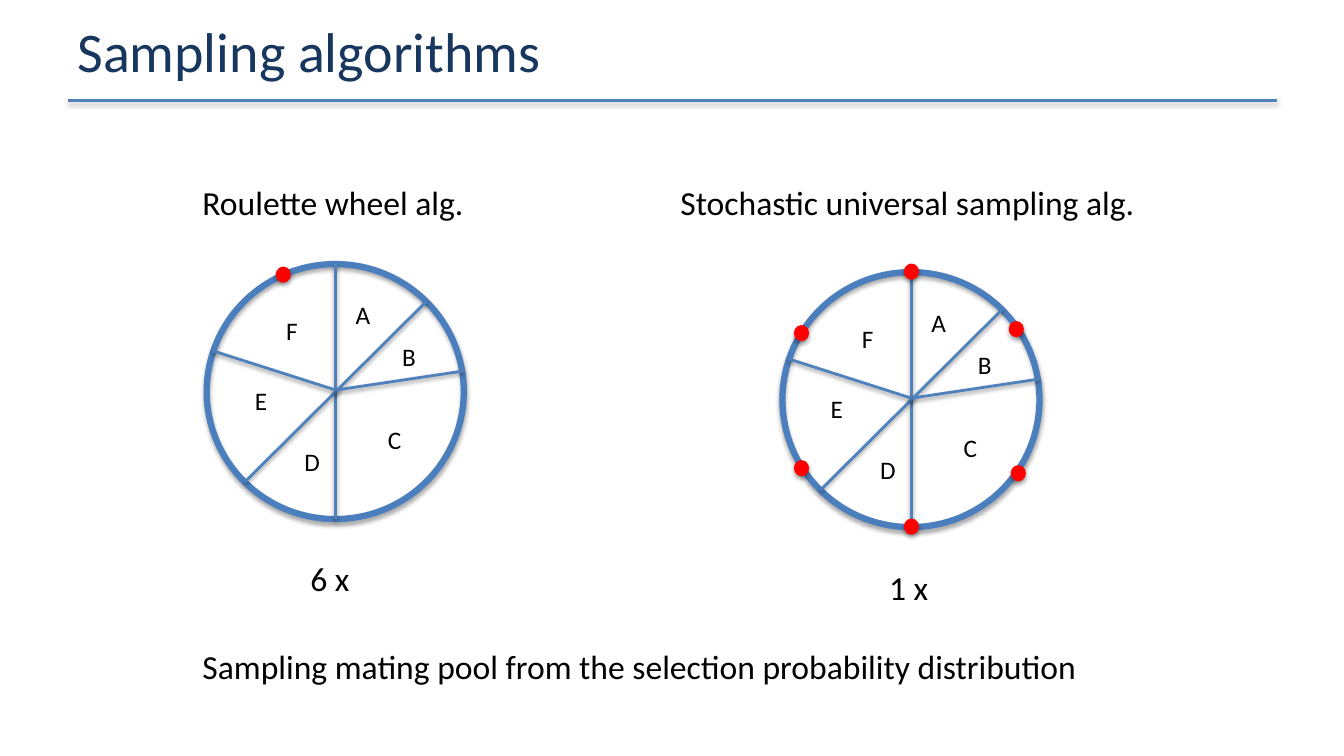
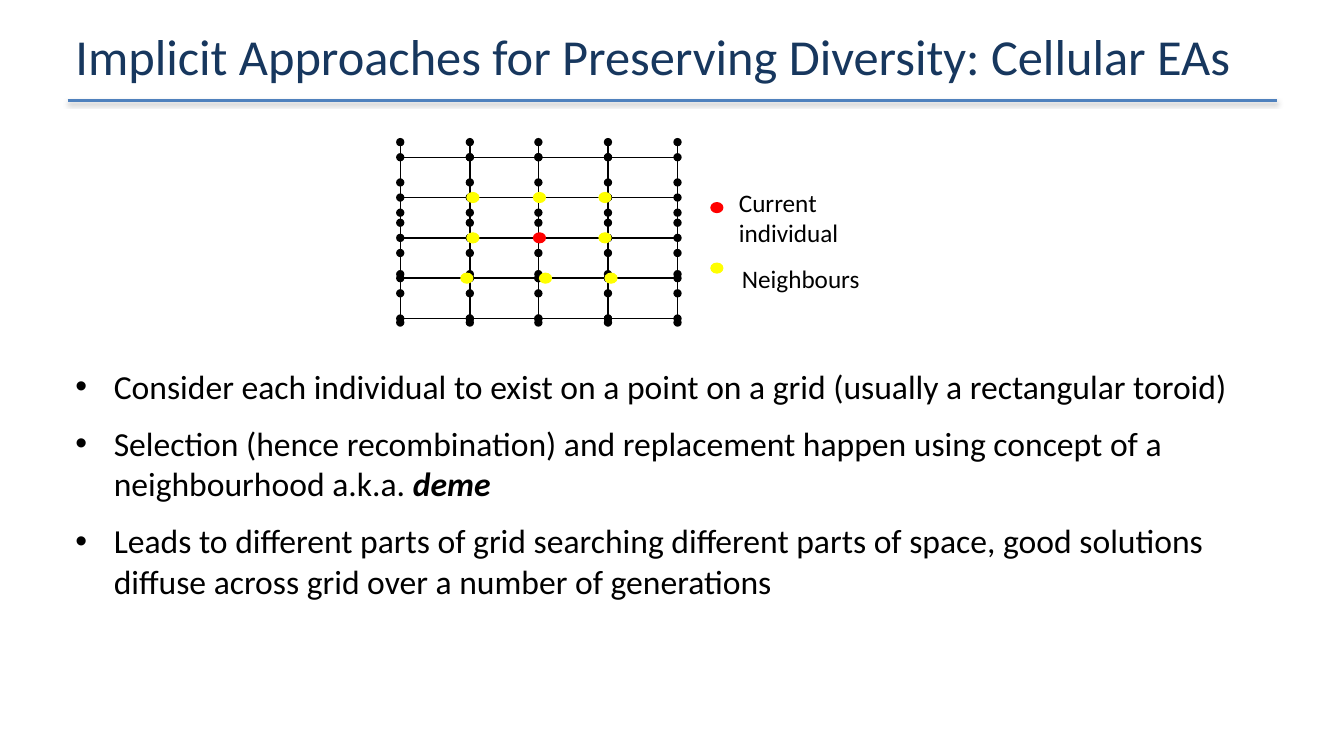
from lxml.etree import SubElement
from pptx import Presentation
from pptx.dml.color import RGBColor
from pptx.enum.shapes import MSO_CONNECTOR, MSO_SHAPE
from pptx.enum.text import MSO_ANCHOR, MSO_AUTO_SIZE
from pptx.oxml.ns import qn
from pptx.util import Emu, Pt

FONT = "Calibri"
NAVY = RGBColor(0x17, 0x37, 0x5E)
BLUE = RGBColor(0x4F, 0x81, 0xBD)
RIM_BLUE = RGBColor(0x4B, 0x7E, 0xBC)
BLACK = RGBColor(0, 0, 0)
RED = RGBColor(0xFF, 0, 0)
YELLOW = RGBColor(0xFF, 0xFF, 0)

# Shadow strength: (distance in EMU, opacity in 1/1000 %)
LINE_SHADOW = (20000, 38000)
SHAPE_SHADOW = (23000, 35000)

# Wheel parts, as offsets from the hub
SPOKES = [(0, -125, 0, 128), (90, -88, -90, 91), (0, 0, 127, -19), (0, 0, -122, -39)]
SECTORS = [("A", 10, -95, 35), ("E", -90, -10, 33), ("F", -59, -79, 32),
           ("B", 56, -53, 34), ("D", -41, 51, 36), ("C", 42, 29, 34)]
ONE_POINTER = [(-52, -115)]
SIX_POINTERS = [(0, -126), (0, 127), (-109, -65), (-109, 69), (104, -69), (106, 74)]

COLUMNS = [round(397 + 68.75 * i) for i in range(5)]
ROWS = [156 + 40 * i for i in range(5)]
HALF_LINKS = [35, 35, 35, 24]  # half the length of the vertical links, row by row
NEIGHBOURS = [(463, 191), (529, 191), (594, 191), (463, 231), (594, 231),
              (457, 271), (535, 271), (600, 271)]

BULLETS = [
    [("Consider each individual to exist on a point on a grid "
      "(usually a rectangular toroid)", False)],
    [("Selection (hence recombination) and replacement happen using concept of a "
      "neighbourhood a.k.a. ", False), ("deme", True)],
    [("Leads to different parts of grid searching different parts of space, "
      "good solutions diffuse across grid over a number of generations", False)],
]


def px(n):
    return Emu(n * 9144)


def set_shadow(sp, shadow=None):
    """Replace the theme shadow by the given one, or by none."""
    effects = SubElement(sp._element.spPr, qn("a:effectLst"))
    if shadow:
        dist, alpha = shadow
        outer = SubElement(effects, qn("a:outerShdw"), blurRad="40000",
                           dist=str(dist), dir="5400000", rotWithShape="0")
        color = SubElement(outer, qn("a:srgbClr"), val="000000")
        SubElement(color, qn("a:alpha"), val=str(alpha))


def add_line(shapes, x1, y1, x2, y2, color=BLUE, width=2, shadow=LINE_SHADOW, ovals=False):
    line = shapes.add_connector(MSO_CONNECTOR.STRAIGHT, px(x1), px(y1), px(x2), px(y2))
    line.line.color.rgb = color
    line.line.width = Pt(width)
    if ovals:
        ln = line.line._get_or_add_ln()
        for end in ("a:headEnd", "a:tailEnd"):
            SubElement(ln, qn(end), type="oval")
    set_shadow(line, shadow)


def add_ellipse(shapes, x, y, w, h, color, fill=True, width=0.75, shadow=None):
    sp = shapes.add_shape(MSO_SHAPE.OVAL, px(x), px(y), px(w), px(h))
    if fill:
        sp.fill.solid()
        sp.fill.fore_color.rgb = color
    else:
        sp.fill.background()
    sp.line.color.rgb = color
    sp.line.width = Pt(width)
    set_shadow(sp, shadow)


def format_run(r, size, color=BLACK):
    r.font.name = FONT
    r.font.size = Pt(size)
    r.font.color.rgb = color


def add_text(shapes, x, y, w, h, text, size, color=BLACK, wrap=False):
    tf = shapes.add_textbox(px(x), px(y), px(w), px(h)).text_frame
    tf.word_wrap = wrap
    tf.auto_size = MSO_AUTO_SIZE.NONE if wrap else MSO_AUTO_SIZE.SHAPE_TO_FIT_TEXT
    tf.text = text
    for p in tf.paragraphs:
        for r in p.runs:
            format_run(r, size, color)
    return tf


def add_titled_slide(prs, title, x, y, size):
    slide = prs.slides.add_slide(prs.slide_layouts[6])
    add_line(slide.shapes, 67, 100, 1267, 100)
    tf = add_text(slide.shapes, x, y, 1200, 95, title, size, NAVY, wrap=True)
    tf.vertical_anchor = MSO_ANCHOR.MIDDLE
    tf.margin_top = tf.margin_bottom = 0
    return slide


def add_wheel(slide, x, y, pointers):
    """Draw a wheel of sectors with its hub at x, y."""
    shapes = slide.shapes.add_group_shape().shapes
    add_ellipse(shapes, x - 128, y - 125, 255, 253, RIM_BLUE, fill=False,
                width=4.5, shadow=SHAPE_SHADOW)
    for x1, y1, x2, y2 in SPOKES:
        add_line(shapes, x + x1, y + y1, x + x2, y + y2)
    for name, dx, dy, w in SECTORS:
        add_text(shapes, x + dx, y + dy, w, 40, name, 18)
    for dx, dy in pointers:
        add_ellipse(shapes, x + dx - 7, y + dy - 7, 14, 15, RED, shadow=SHAPE_SHADOW)


def add_grid(slide):
    shapes = slide.shapes.add_group_shape().shapes
    links = [(x1, y, x2, y) for y in ROWS for x1, x2 in zip(COLUMNS, COLUMNS[1:])]
    for y, half in zip(ROWS, HALF_LINKS):
        middle = y + 20
        links += [(x, middle + half, x, middle - half) for x in COLUMNS]
    for link in links:
        add_line(shapes, *link, color=BLACK, width=1, shadow=None, ovals=True)
    for x, y, color in [(529, 231, RED), *((x, y, YELLOW) for x, y in NEIGHBOURS),
                        (705, 261, YELLOW), (705, 201, RED)]:
        add_ellipse(shapes, x, y, 12, 10, color)
    add_text(shapes, 723, 181, 120, 71, "Current\nindividual", 18)
    add_text(shapes, 726, 256, 138, 40, "Neighbours", 18)


def add_bullets(slide, x, y, w, h, bullets):
    tf = slide.shapes.add_textbox(px(x), px(y), px(w), px(h)).text_frame
    tf.word_wrap = True
    for i, parts in enumerate(bullets):
        p = tf.add_paragraph() if i else tf.paragraphs[0]
        p.space_before = Pt(12)
        pPr = p._p.get_or_add_pPr()
        pPr.set("marL", str(px(38)))
        pPr.set("indent", str(-px(38)))
        SubElement(pPr, qn("a:buFont"), typeface="Arial")
        SubElement(pPr, qn("a:buChar"), char="•")
        for text, strong in parts:
            r = p.add_run()
            r.text = text
            format_run(r, 24)
            r.font.bold = r.font.italic = strong


def add_sampling_slide(prs):
    slide = add_titled_slide(prs, "Sampling algorithms", 67, 2, 40)
    add_wheel(slide, 333, 387, ONE_POINTER)
    add_wheel(slide, 904, 395, SIX_POINTERS)
    for x, y, w, text in [(191, 176, 283, "Roulette wheel alg."),
                          (665, 176, 477, "Stochastic universal sampling alg."),
                          (298, 549, 59, "6 x"),
                          (872, 558, 59, "1 x")]:
        add_text(slide.shapes, x, y, w, 50, text, 24)
    add_text(slide.shapes, 191, 636, 907, 50,
             "Sampling mating pool from the selection probability distribution", 24, wrap=True)


def add_cellular_slide(prs):
    slide = add_titled_slide(
        prs, "Implicit Approaches for Preserving Diversity: Cellular EAs", 65, 7, 36)
    add_bullets(slide, 65, 358, 1201, 322, BULLETS)
    add_grid(slide)


def main():
    prs = Presentation()
    prs.slide_width, prs.slide_height = px(1333), px(750)
    add_sampling_slide(prs)
    add_cellular_slide(prs)
    prs.save("out.pptx")


if __name__ == "__main__":
    main()
